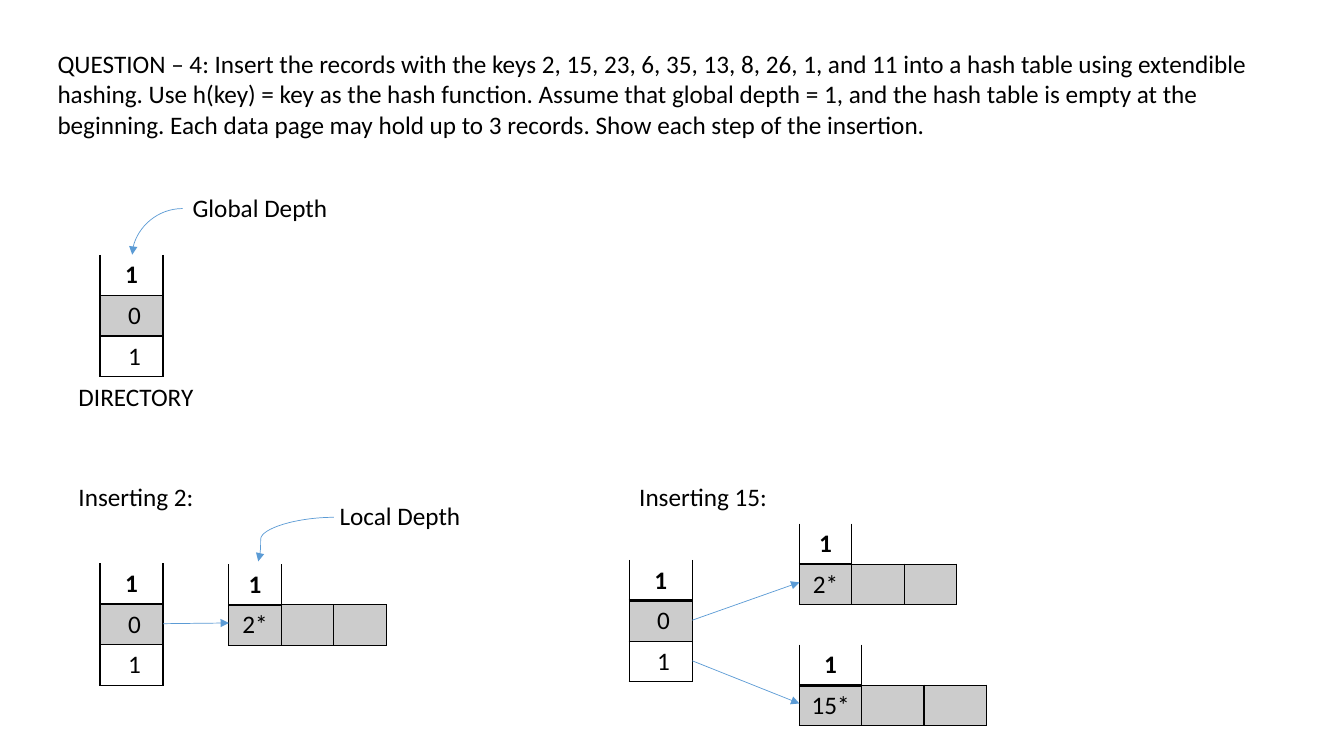
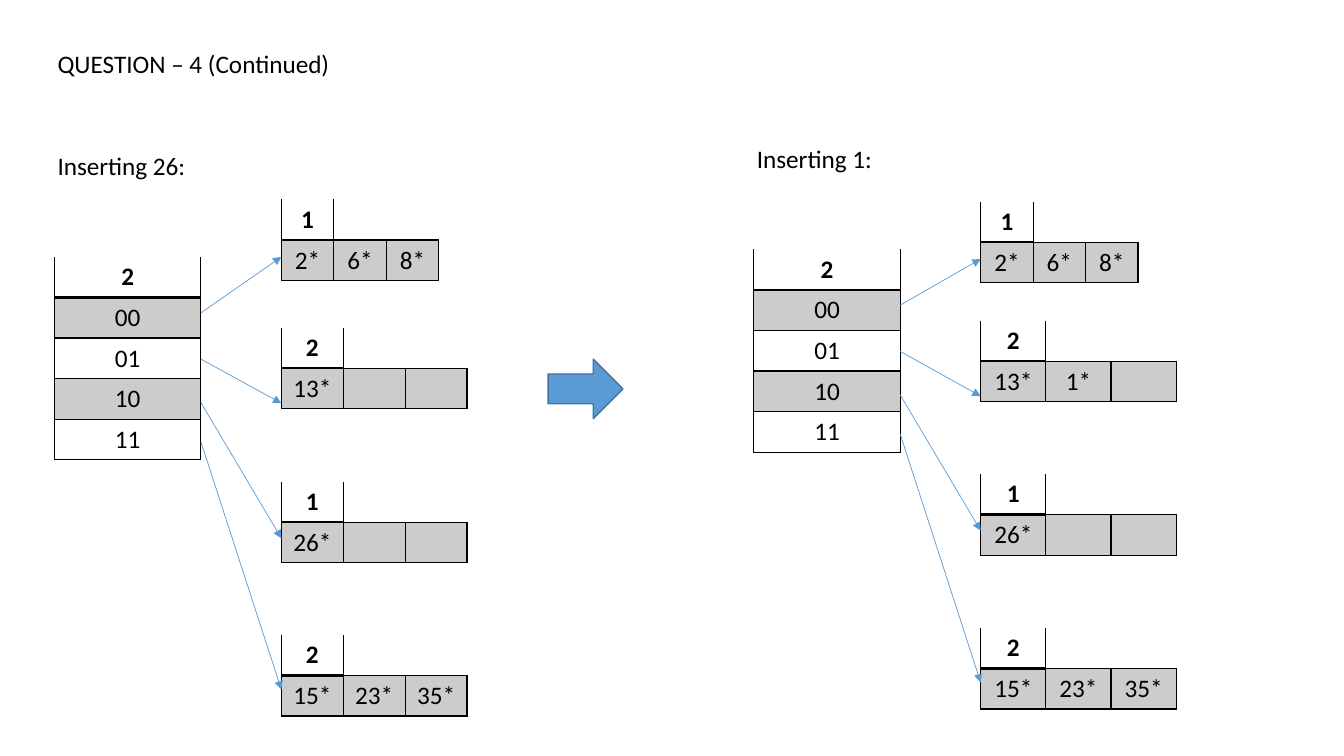
from lxml import etree
from pptx import Presentation
from pptx.dml.color import RGBColor
from pptx.enum import shapes, text
from pptx.oxml import ns
from pptx.util import Pt

FONT, SIZE = "Calibri", 18
BLACK, GREY, BLUE, NAVY = "000000", "CCCCCC", "5B9BD5", "43739E"
ROW_H = 29
NO_STYLE = "{2D5ABB26-0587-4C30-8999-92F81FD0307C}"


def color(hex_):
    return RGBColor.from_string(hex_)


def sub(parent, tag, **attrs):
    return etree.SubElement(parent, ns.qn(tag), **attrs)


def write(tf, txt, bold=False, align=None):
    p = tf.paragraphs[0]
    p.alignment = align
    r = p.add_run()
    r.text = txt
    r.font.name, r.font.size, r.font.bold = FONT, Pt(SIZE), bold
    r.font.color.rgb = color(BLACK)


def label(s, txt, x, y, w=144, h=29):
    tf = s.shapes.add_textbox(Pt(x), Pt(y), Pt(w), Pt(h)).text_frame
    tf.word_wrap = True
    write(tf, txt)


def arrow(s, x1, y1, x2, y2, preset=None, bend=None):
    kind = shapes.MSO_CONNECTOR.CURVE if preset else shapes.MSO_CONNECTOR.STRAIGHT
    cn = s.shapes.add_connector(kind, Pt(x1), Pt(y1), Pt(x2), Pt(y2))
    cn.line.width = Pt(0.5)
    cn.line.color.rgb = color(BLUE)
    sub(cn.line._get_or_add_ln(), "a:tailEnd", type="triangle")
    sp_pr = cn._element.spPr
    sub(sp_pr, "a:effectLst")
    geom = sp_pr.find(ns.qn("a:prstGeom"))
    if preset:
        geom.set("prst", preset)
    if bend:
        sub(geom.find(ns.qn("a:avLst")), "a:gd", name="adj1", fmla=f"val {bend}")


def style_cell(cell, fill=None, **borders):
    """Border widths by side (L, R, T, B); a side left out has no line."""
    tc_pr = cell._tc.get_or_add_tcPr()
    for side in "LRTB":
        width = borders.get(side, 0)
        ln = sub(tc_pr, f"a:ln{side}", w=str(Pt(width)))
        if width:
            sub(sub(ln, "a:solidFill"), "a:srgbClr", val=BLACK)
        else:
            sub(ln, "a:noFill")
    if fill:
        cell.fill.solid()
        cell.fill.fore_color.rgb = color(fill)
    else:
        cell.fill.background()


def grid(s, x, y, col_w, depth, rows, fills, rule=2):
    """Table with an open depth cell above its rows of framed cells."""
    n = len(rows[0])
    tbl = s.shapes.add_table(len(rows) + 1, n, Pt(x), Pt(y), Pt(col_w * n),
                             Pt(ROW_H * (len(rows) + 1))).table
    tbl.first_row = tbl.horz_banding = False
    tbl._tbl.tblPr.find(ns.qn("a:tableStyleId")).text = NO_STYLE
    for col in tbl.columns:
        col.width = Pt(col_w)
    # Header: only the depth cell has sides
    for c in range(n):
        sides = {0: dict(L=1, R=1, B=rule), 1: dict(L=1, B=1)}.get(c, dict(B=1))
        style_cell(tbl.cell(0, c), **sides)
    center = text.PP_ALIGN.CENTER
    write(tbl.cell(0, 0).text_frame, depth, bold=True, align=center)
    # Body
    for i, (row, fill) in enumerate(zip(rows, fills), 1):
        for c, txt in enumerate(row):
            cell = tbl.cell(i, c)
            style_cell(cell, fill, L=1, R=1, T=1, B=1)
            write(cell.text_frame, txt, align=center)


def directory(s, x, y, w, depth, keys, rule=2):
    fills = [None if i % 2 else GREY for i in range(len(keys))]
    grid(s, x, y, w, depth, [[k] for k in keys], fills, rule)


def hash_state(s, x, y, w, depth, keys, starts, gap, buckets):
    """Directory at x, y, with an arrow from each key to its bucket.

    starts: arrow heights on the directory; bucket: offset from y,
    column width, local depth, records, arrow height on the bucket.
    """
    directory(s, x, y, w, depth, keys)
    left = x + w + gap
    for (dy, col_w, local, records, tip), start in zip(buckets, starts):
        grid(s, left, y + dy, col_w, local, [records], [GREY])
        arrow(s, x + w, y + start, left, y + dy + tip)


def question(s, txt, h=29):
    label(s, txt, 34, 31, 893.5, h)


def first_slide(s):
    question(s, "QUESTION – 4: Insert the records with the keys 2, 15, 23, 6, 35, 13, 8, 26, 1, "
             "and 11 into a hash table using extendible hashing. Use h(key) = key as the hash "
             "function. Assume that global depth = 1, and the hash table is empty at the "
             "beginning. Each data page may hold up to 3 records. Show each step of the "
             "insertion.", 72.5)
    keys, key_w, starts = [" 0", " 1"], 45, (43, 72)
    two = ["2*", "", ""]

    # Empty directory
    directory(s, 71.5, 182, key_w, "1", keys, rule=1)
    label(s, "DIRECTORY", 49, 268.5)
    label(s, "Global Depth", 130.5, 134)
    arrow(s, 130.5, 149, 94.5, 182, "curvedConnector2")

    # Inserting 2
    label(s, "Inserting 2:", 49, 340.5)
    hash_state(s, 71.5, 402.5, key_w, "1", keys, starts, 47, [(0.5, 37.5, "1", two, 42)])
    label(s, "Local Depth", 235.5, 353.5)
    arrow(s, 238.5, 369.5, 184.5, 401, "curvedConnector3", 96900)

    # Inserting 15
    label(s, "Inserting 15:", 449.5, 340.5, 107)
    hash_state(s, 449.5, 400, key_w, "1", keys, starts, 76.5,
               [(-26, 37.5, "1", two, 42), (60.5, 44.5, "1", ["15*", "", ""], 42)])


def second_slide(s):
    question(s, "QUESTION – 4 (Continued)")
    keys, starts = ["00", "01", "10", "11"], (40, 73, 104, 132)

    # Each panel: title, its place, directory place, bucket offsets, wide column, second bucket
    panels = [
        ("Inserting 26:", 34, 103.5, 39, 183.5, (-41, 50.5, 160.5, 270), 44.2, ["13*", "", ""]),
        ("Inserting 1:", 533.5, 98.5, 538.5, 178, (-34, 51, 160.5, 270.5), 46.6, ["13*", "1*", ""]),
    ]
    for title, tx, ty, x, y, offsets, wide, second in panels:
        label(s, title, tx, ty, 107)
        records = [["2*", "6*", "8*"], second, ["26*", "", ""], ["15*", "23*", "35*"]]
        buckets = zip(offsets, (37.5, wide, wide, wide), "1212", records, (41, 54, 40.5, 39))
        hash_state(s, x, y, 104.5, "2", keys, starts, 57.5, buckets)

    # Step arrow between the panels
    sp = s.shapes.add_shape(shapes.MSO_SHAPE.RIGHT_ARROW, Pt(391.5), Pt(256.5), Pt(53.5), Pt(42.5))
    sp.shadow.inherit = False
    sp.fill.solid()
    sp.fill.fore_color.rgb = color(BLUE)
    sp.line.color.rgb = color(NAVY)
    sp.line.width = Pt(1)


prs = Presentation()
prs.slide_width, prs.slide_height = Pt(960), Pt(540)
for build in (first_slide, second_slide):
    build(prs.slides.add_slide(prs.slide_layouts[6]))
prs.save("out.pptx")
